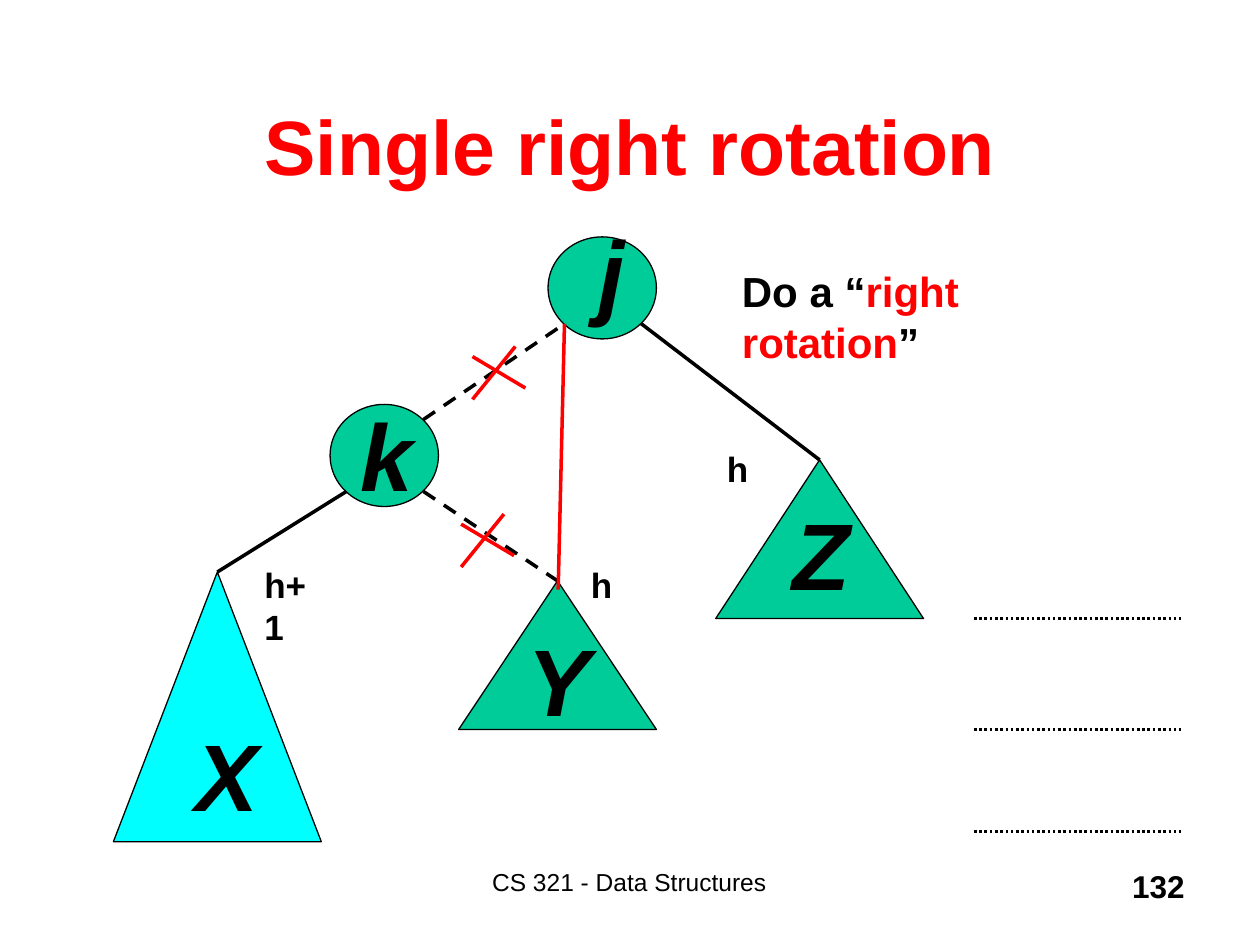
import pptx
import pptx.chart.data
import pptx.dml.color
import pptx.enum.dml
import pptx.enum.shapes
import pptx.enum.text
import pptx.oxml
import pptx.util

Inches = pptx.util.Inches
Pt = pptx.util.Pt
SHAPE = pptx.enum.shapes.MSO_SHAPE
DASH = pptx.enum.dml.MSO_LINE
ALIGN = pptx.enum.text.PP_ALIGN
ANCHOR = pptx.enum.text.MSO_ANCHOR
COLORS = {"ink": "000000", "red": "FF0000", "green": "00CC99", "cyan": "00FFFF"}
FONT = {"name": "Arial", "bold": True, "italic": False}


def rgb(name):
    return pptx.dml.color.RGBColor.from_string(COLORS[name])


def text(slide, box, runs, size, align=ALIGN.LEFT, anchor=ANCHOR.TOP, **style):
    """Write (words, color) runs in one paragraph."""
    frame = slide.shapes.add_textbox(*map(Inches, box)).text_frame
    frame.word_wrap = True
    frame.vertical_anchor = anchor
    para = frame.paragraphs[0]
    para.alignment = align
    for words, color in runs:
        run = para.add_run()
        run.text = words
        for key, value in {**FONT, "size": Pt(size), **style}.items():
            setattr(run.font, key, value)
        run.font.color.rgb = rgb(color)


def line(slide, start, end, color="ink", width=2, dash=None):
    link = slide.shapes.add_connector(
        pptx.enum.shapes.MSO_CONNECTOR.STRAIGHT, *map(Inches, (*start, *end)))
    link.line.color.rgb = rgb(color)
    link.line.width = Pt(width)
    if dash:
        link.line.dash_style = dash
    link._element.spPr.append(pptx.oxml.parse_xml(
        '<a:effectLst xmlns:a="http://schemas.openxmlformats.org/drawingml/2006/main"/>'))
    return link


def node(slide, kind, box, color, name, shift):
    """Draw a node or subtree, its letter set off from the box corner."""
    shape = slide.shapes.add_shape(kind, *map(Inches, box))
    shape.shadow.inherit = False
    shape.fill.solid()
    shape.fill.fore_color.rgb = rgb(color)
    shape.line.color.rgb = rgb("ink")
    shape.line.width = Pt(0.75)
    spot = (box[0] + shift[0], box[1] + shift[1], 0.53, 1)
    text(slide, spot, [(name, "ink")], 54, italic=True)
    return shape


def cross(slide, x, y):
    """Strike out an edge inside the box at x, y."""
    line(slide, (x, y + 0.08), (x + 0.42, y + 0.33), "red")
    line(slide, (x + 0.34, y), (x, y + 0.42), "red")


def tree(slide, x, y):
    # Nodes and subtrees
    node(slide, SHAPE.OVAL, (x + 3.45, y, 0.86, 0.81), "green", "j", (0.3, -0.23))
    node(slide, SHAPE.OVAL, (x + 1.72, y + 1.33, 0.86, 0.81), "green", "k", (0.14, -0.11))
    for name, box, color, shift, start, dash in (
        ("X", (0, 2.66, 1.65, 2.14), "cyan", (0.55, 1.1), (1.85, 2.02), None),
        ("Y", (2.74, 2.73, 1.57, 1.18), "green", (0.45, 0.28), (2.46, 2.02), DASH.DASH),
        ("Z", (4.78, 1.77, 1.65, 1.26), "green", (0.51, 0.24), (4.19, 0.69), None),
    ):
        left, top, wide, high = box
        node(slide, SHAPE.ISOSCELES_TRIANGLE, (x + left, y + top, wide, high),
             color, name, shift)
        line(slide, (x + start[0], y + start[1]),
             (x + left + wide / 2, y + top), dash=dash)

    # Old edge, new edge and strikes
    line(slide, (x + 2.46, y + 1.45), (x + 3.58, y + 0.69), dash=DASH.DASH)
    line(slide, (x + 3.58, y + 0.69), (x + 3.53, y + 2.8), "red")
    cross(slide, x + 2.85, y + 0.87)
    cross(slide, x + 2.76, y + 2.2)

    # Subtree heights
    for words, left, top, wide in (("h+1", 1.1, 2.54, 0.67), ("h", 3.69, 2.54, 0.35),
                                   ("h", 4.77, 1.62, 0.35)):
        text(slide, (x + left, y + top, wide, 0.44), [(words, "ink")], 20)


def levels(slide, x, wide, tops):
    for y in tops:
        line(slide, (x, y), (x + wide, y), width=1.5, dash=DASH.ROUND_DOT)


def footer(slide, y):
    text(slide, (3.08, y, 3.83, 0.5), [("CS 321 - Data Structures", "ink")], 14,
         ALIGN.CENTER, bold=False)
    text(slide, (7.42, y, 2.08, 0.5), [("132", "ink")], 18, ALIGN.RIGHT)


def main():
    deck = pptx.Presentation()
    deck.slide_width, deck.slide_height = Inches(10), Inches(7.5)
    slide = deck.slides.add_slide(deck.slide_layouts[6])
    text(slide, (0.73, 0.71, 8.55, 0.88), [("Single right rotation", "red")], 44,
         ALIGN.CENTER, ANCHOR.MIDDLE)
    tree(slide, 0.9, 1.88)
    text(slide, (5.79, 2.06, 3.07, 0.5),
         [("Do a “", "ink"), ("right rotation", "red"), ("”", "ink")], 24)
    levels(slide, 7.73, 1.64, (4.91, 5.79, 6.6))
    footer(slide, 6.83)
    deck.save("out.pptx")


if __name__ == "__main__":
    main()
